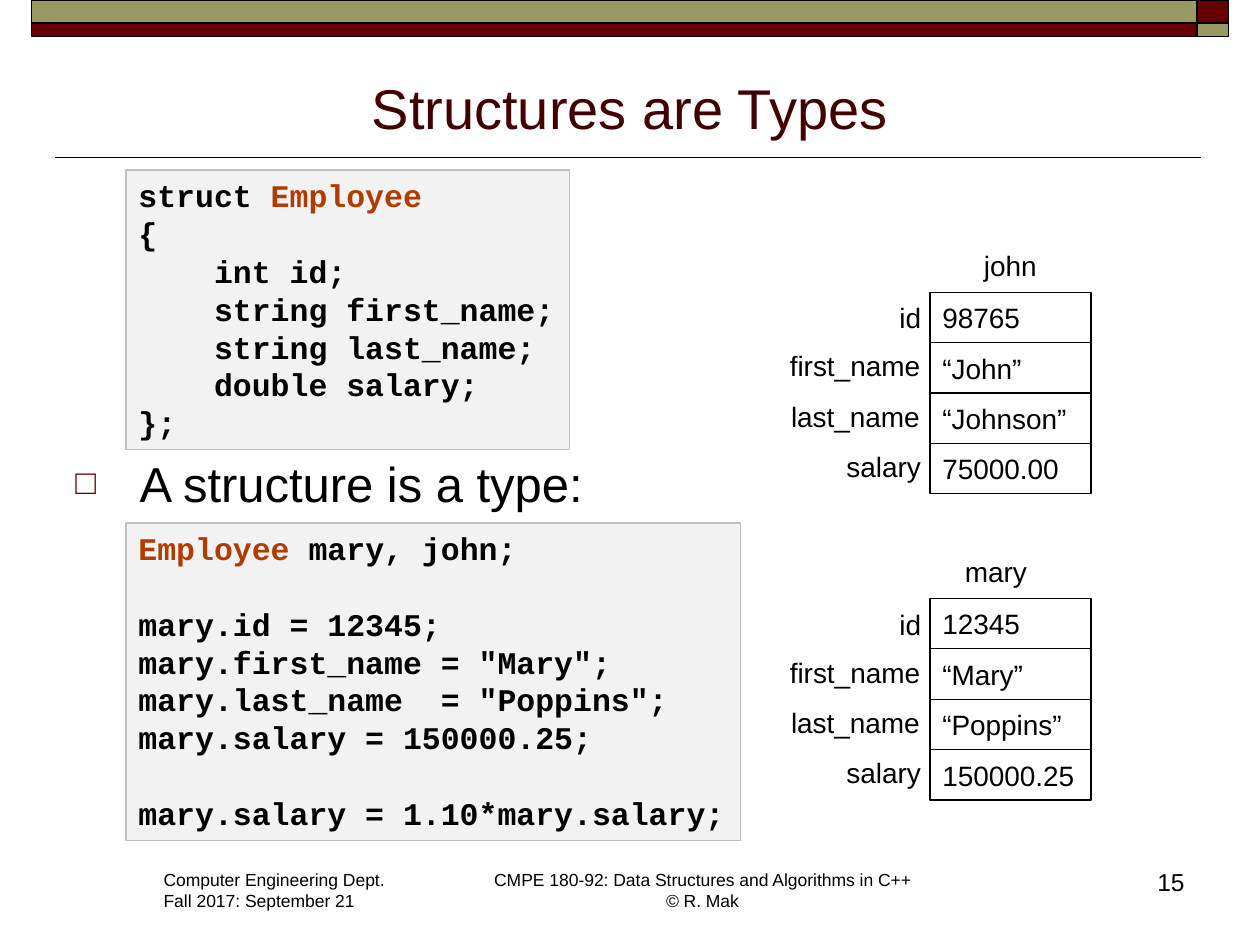
from lxml import etree
from pptx import Presentation
from pptx import util as u
from pptx.dml.color import RGBColor
from pptx.enum import shapes, text
from pptx.oxml.ns import qn

COLORS = {
    "black": "000000", "maroon": "660000", "olive": "999966", "title": "420000",
    "code_fill": "F2F2F2", "code_line": "BFBFBF", "type_name": "B23C00",
}
STRUCT_CODE = [
    [("struct ", "black"), ("Employee", "type_name")],
    [("{", "black")],
    [("    int id;", "black")],
    [("    string first_name;", "black")],
    [("    string last_name;", "black")],
    [("    double salary;", "black")],
    [("};", "black")],
]
USAGE_CODE = [
    [("Employee ", "type_name"), ("mary, john;", "black")],
    [("mary.id = 12345;", "black")],
    [('mary.first_name = "Mary";', "black")],
    [('mary.last_name  = "Poppins";', "black")],
    [("mary.salary = 150000.25;", "black")],
    [("mary.salary = 1.10*mary.salary;", "black")],
]
FIELDS = [("id", 0.38, 0.02), ("first_name", 1.25, 0), ("last_name", 1.24, 0), ("salary", 0.8, 0)]
CELL_LEFT, CELL_WIDTH, CELL_HEIGHT = 7.38, 1.28, 0.4
LABEL_RIGHT = 7.42
CODE_LINE = 21.6


def rgb(name):
    """Return the named palette colour."""
    return RGBColor.from_string(COLORS[name])


def add_span(para, words, size, color="black", font="Arial", bold=False):
    """Add one formatted run to a paragraph."""
    span = para.add_run()
    span.text = words
    span.font.size = u.Pt(size)
    span.font.name = font
    span.font.bold = bold
    span.font.color.rgb = rgb(color)


def add_text(page, left, top, width, height, lines, size, align="LEFT", wrap=False):
    """Add a text box with one paragraph per line and return its frame."""
    box = page.shapes.add_textbox(*map(u.Inches, (left, top, width, height)))
    frame = box.text_frame
    frame.word_wrap = wrap
    for index, line in enumerate(lines):
        para = frame.add_paragraph() if index else frame.paragraphs[0]
        para.alignment = text.PP_ALIGN[align]
        for part_index, part in enumerate(line.split("\n")):
            if part_index:
                para.add_line_break()
            add_span(para, part, size)
    return frame


def add_rect(page, left, top, width, height, fill=None, line="black", weight=0.75):
    """Add an outlined rectangle, hollow unless a fill is named."""
    box = page.shapes.add_shape(
        shapes.MSO_SHAPE.RECTANGLE, *map(u.Inches, (left, top, width, height)))
    box.shadow.inherit = False
    if fill:
        box.fill.solid()
        box.fill.fore_color.rgb = rgb(fill)
    else:
        box.fill.background()
    box.line.color.rgb = rgb(line)
    box.line.width = u.Pt(weight)
    return box


def add_header(page):
    """Add the rule under the title and the two-colour band at the top."""
    rule = page.shapes.add_connector(
        shapes.MSO_CONNECTOR.STRAIGHT, *map(u.Inches, (9.53, 1.25, 0.44, 1.25)))
    rule.line.color.rgb = rgb("black")
    rule.line.width = u.Pt(1)
    etree.SubElement(rule._element.spPr, qn("a:effectLst"))
    for top, height, wide, narrow in [(0, 0.18, "olive", "maroon"), (0.18, 0.11, "maroon", "olive")]:
        add_rect(page, 0.25, top, 9.25, height, wide, weight=1)
        add_rect(page, 9.5, top, 0.25, height, narrow, weight=1)


def set_title(page, words):
    """Place and format the title placeholder."""
    title = page.shapes.title
    title.left, title.top, title.width, title.height = map(u.Inches, (0.5, 0.45, 9, 0.72))
    frame = title.text_frame
    frame.auto_size = text.MSO_AUTO_SIZE.NONE
    frame.vertical_anchor = text.MSO_ANCHOR.BOTTOM
    para = frame.paragraphs[0]
    para.alignment = text.PP_ALIGN.CENTER
    add_span(para, words, 32, "title")


def add_bullet(page, words):
    """Add the bulleted statement with a hollow square marker."""
    frame = add_text(page, 0.5, 3.55, 4.3, 0.6, [words], 28, wrap=True)
    props = frame.paragraphs[0]._p.get_or_add_pPr()
    indent = u.Inches(0.51)
    props.set("marL", str(indent))
    props.set("indent", str(-indent))
    color = etree.SubElement(props, qn("a:buClr"))
    etree.SubElement(color, qn("a:srgbClr"), val=COLORS["maroon"])
    etree.SubElement(props, qn("a:buSzPct"), val="70000")
    etree.SubElement(props, qn("a:buFont"), typeface="Arial")
    etree.SubElement(props, qn("a:buChar"), char="□")


def add_code(page, top, width, height, lines, gaps=()):
    """Add a code panel, leaving one empty line's height before each gap index."""
    box = add_rect(page, 1, top, width, height, "code_fill", "code_line")
    frame = box.text_frame
    frame.word_wrap = False
    frame.vertical_anchor = text.MSO_ANCHOR.TOP
    for index, spans in enumerate(lines):
        para = frame.add_paragraph() if index else frame.paragraphs[0]
        para.alignment = text.PP_ALIGN.LEFT
        if index in gaps:
            para.space_before = u.Pt(CODE_LINE)
        for words, color in spans:
            add_span(para, words, 18, color, "Courier New", True)


def add_record(page, name, name_left, name_width, top, values):
    """Add a named record as a stack of labelled cells."""
    for row, ((label, width, offset), value) in enumerate(zip(FIELDS, values)):
        cell_top = top + row * CELL_HEIGHT
        cell = add_rect(page, CELL_LEFT, cell_top, CELL_WIDTH, CELL_HEIGHT)
        cell.text_frame.vertical_anchor = text.MSO_ANCHOR.MIDDLE
        para = cell.text_frame.paragraphs[0]
        para.alignment = text.PP_ALIGN.LEFT
        add_span(para, value, 16)
        add_text(page, LABEL_RIGHT - width, cell_top + offset, width, 0.37, [label], 16)
    add_text(page, name_left, top - 0.4, name_width, 0.37, [name], 16)


def add_footer(page):
    """Add the department, course and page number."""
    add_text(page, 1.2, 6.85, 1.98, 0.44,
             ["Computer Engineering Dept.", "Fall 2017: September 21"], 10)
    add_text(page, 3.8, 6.85, 3.55, 0.44,
             ["CMPE 180-92: Data Structures and Algorithms in C++\n© R. Mak"], 10, "CENTER")
    add_text(page, 7.42, 6.83, 2.08, 0.5, ["15"], 14, "RIGHT", wrap=True)


def main():
    """Build the slide and save the deck."""
    deck = Presentation()
    deck.slide_width, deck.slide_height = u.Inches(10), u.Inches(7.5)
    page = deck.slides.add_slide(deck.slide_layouts[5])
    add_header(page)
    add_footer(page)
    set_title(page, "Structures are Types")
    add_bullet(page, "A structure is a type:")
    add_code(page, 1.35, 3.52, 2.22, STRUCT_CODE)
    add_code(page, 4.15, 4.88, 2.52, USAGE_CODE, gaps=(1, 5))
    add_record(page, "mary", 7.56, 0.7, 4.75, ["12345", "“Mary”", "“Poppins”", "150000.25"])
    add_record(page, "john", 7.71, 0.62, 2.32, ["98765", "“John”", "“Johnson”", "75000.00"])
    deck.save("out.pptx")


if __name__ == "__main__":
    main()
